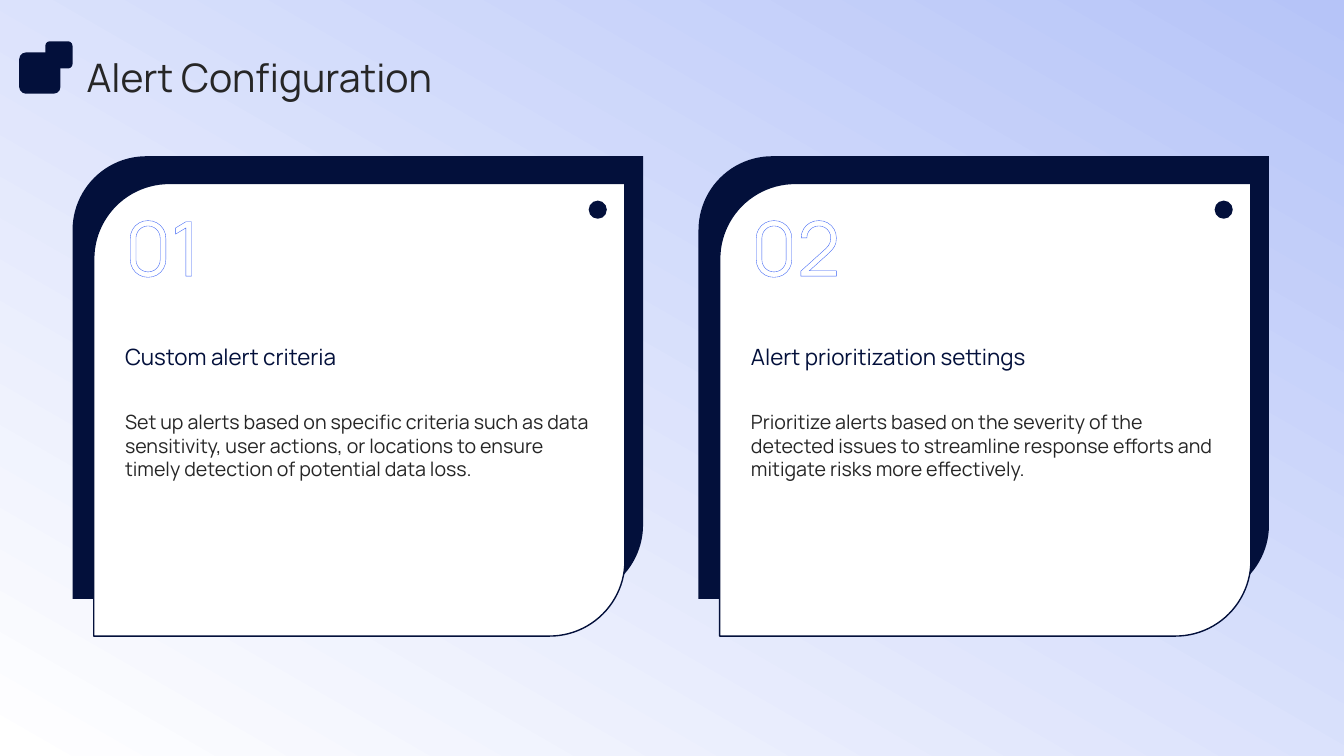
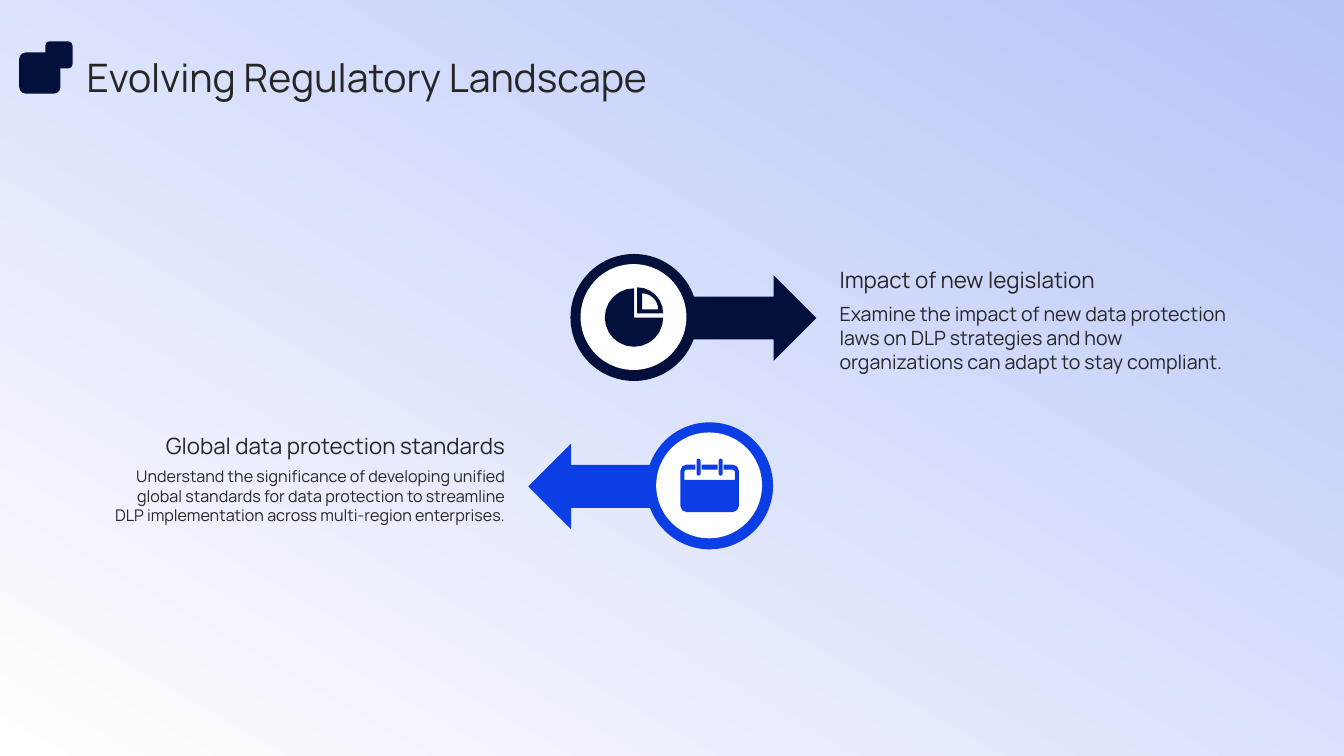
import math
from dataclasses import dataclass

from lxml import etree
from pptx import Presentation
from pptx import util as u
from pptx.dml.color import RGBColor
from pptx.enum import shapes, text
from pptx.oxml.ns import qn

EMU_PER_PX = 9144  # 100 px to the inch
SLIDE_W, SLIDE_H = u.Emu(12192000), u.Emu(6858000)
SHAPE, ANCHOR, ALIGN = shapes.MSO_SHAPE, text.MSO_ANCHOR, text.PP_ALIGN


@dataclass(frozen=True)
class Theme:
    font: str = "Manrope"
    navy: str = "03103B"
    blue: str = "0C3EE6"
    outline: str = "3860F4"
    ink: str = "262626"
    white: str = "FFFFFF"
    backdrop: str = "AABDFB"
    tint: str = "B6C4F8"
    title: float = 28
    number: float = 54
    heading: float = 16
    body: float = 14
    small: float = 11.5


T = Theme()


def px(n):
    return u.Emu(round(n * EMU_PER_PX))


def rgb(color):
    return RGBColor.from_string(color)


# Basic elements
def paint(sp, fill, line=None):
    sp.shadow.inherit = False
    sp.fill.solid()
    sp.fill.fore_color.rgb = rgb(fill)
    if line:
        sp.line.color.rgb = rgb(line)
        sp.line.width = u.Pt(1)
    else:
        sp.line.fill.background()


def fade_to_white(fill, color, angle):
    fill.gradient()
    fill.gradient_angle = angle
    for stop, c, position in zip(fill.gradient_stops, (color, T.white), (0, 1)):
        stop.color.rgb = rgb(c)
        stop.position = position


def add_shape(s, kind, x, y, w, h, fill, line=None):
    sp = s.shapes.add_shape(kind, px(x), px(y), px(w), px(h))
    paint(sp, fill, line)


def set_text(sp, content, size, color=T.ink, anchor=ANCHOR.TOP, align=ALIGN.LEFT):
    tf = sp.text_frame
    tf.text = content
    tf.word_wrap = True
    tf.auto_size = text.MSO_AUTO_SIZE.NONE
    tf.vertical_anchor = anchor
    tf.margin_left = tf.margin_right = tf.margin_top = tf.margin_bottom = 0
    p = tf.paragraphs[0]
    p.alignment = align
    r = p.runs[0]
    r.font.name = T.font
    r.font.size = u.Pt(size)
    r.font.color.rgb = rgb(color)
    return r


def add_text(s, x, y, w, h, content, size, **style):
    sp = s.shapes.add_textbox(px(x), px(y), px(w), px(h))
    return set_text(sp, content, size, **style)


def outline_run(r, color, width):
    ln = etree.Element(qn("a:ln"), w=str(u.Pt(width)))
    fill = etree.SubElement(ln, qn("a:solidFill"))
    etree.SubElement(fill, qn("a:srgbClr"), val=color)
    r.font._element.insert(0, ln)


# Icons: contours in px around the centre of a disc
def arc(cx, cy, radius, start, end):
    steps = abs(end - start) // (15 if radius > 10 else 45)
    angles = [math.radians(start + (end - start) * i / steps) for i in range(steps + 1)]
    return [(cx + radius * math.cos(a), cy + radius * math.sin(a)) for a in angles]


def pie_icon():
    return [
        [(0, 0)] + arc(0, 0, 29, 0, 270),
        [(3, -4)] + arc(3, -4, 26, 0, -90),
        [(8, -8)] + arc(8, -8, 16, 0, -90),
    ]


def calendar_icon():
    frame = (
        [(14, -21), (14, -16)]
        + arc(23, -14, 2, -90, 0)
        + [(25, -6), (-25, -6)]
        + arc(-23, -14, 2, 180, 270)
        + [(-14, -16), (-14, -21)]
        + arc(-23, -15, 6, 270, 180)
        + arc(-23, 20, 6, 180, 90)
        + arc(23, 20, 6, 90, 0)
        + arc(23, -15, 6, 0, -90)
    )
    bar = [(-8, -21), (8, -21), (8, -16), (-8, -16)]
    rings = [arc(x, -25, 2, 180, 360) + arc(x, -12, 2, 0, 180) for x in (-11, 11)]
    return [frame, bar, *rings]


def add_icon(s, cx, cy, contours, color):
    fb = None
    for contour in contours:
        points = [(px(cx + x), px(cy + y)) for x, y in contour]
        if fb is None:
            fb = s.shapes.build_freeform(*points[0])
        else:
            fb.move_to(*points[0])
        fb.add_line_segments(points[1:], close=True)
    paint(fb.convert_to_shape(), color)


# Shared slide frame
def add_panel(s):
    sp = s.shapes.add_shape(SHAPE.RECTANGLE, 0, 0, SLIDE_W, SLIDE_H)
    sp.shadow.inherit = False
    sp.line.fill.background()
    fade_to_white(sp.fill, T.tint, 240)
    s.shapes._spTree.insert(2, sp._element)  # behind the title


def add_slide(prs, title):
    s = prs.slides.add_slide(prs.slide_layouts.get_by_name("Title Only"))
    add_panel(s)
    sp = s.shapes.title
    sp.left, sp.top, sp.width, sp.height = px(86), px(51), px(1167), px(51)
    set_text(sp, title, T.title, anchor=ANCHOR.MIDDLE)
    for x, y, size in ((19, 52, 41), (45, 41, 27)):
        add_shape(s, SHAPE.ROUNDED_RECTANGLE, x, y, size, size, T.navy)
    return s


# Numbered card with an offset backing
def add_card(s, x, number, heading, body):
    y, text_x, text_w = 155, x + 52, 469
    add_shape(s, SHAPE.ROUND_2_DIAG_RECTANGLE, x, y, 566, 439, T.navy)
    add_shape(s, SHAPE.ROUND_2_DIAG_RECTANGLE, x + 21, y + 27, 527, 449, T.white, T.navy)
    r = add_text(s, text_x, y + 44, 135, 116, f"{number:02}", T.number, color=T.white)
    outline_run(r, T.outline, 1.25)
    add_text(s, text_x, y + 252, text_w, 182, body, T.body)
    add_shape(s, SHAPE.OVAL, x + 512, y + 44, 18, 18, T.navy)
    add_text(s, text_x, y + 149, text_w, 99, heading, T.heading,
             color=T.navy, anchor=ANCHOR.MIDDLE)


# Disc with an arrow that points to a text on its left or right
def add_pointer(s, y, heading_y, body_y, heading, body, body_size, color, icon,
                to_left=False):
    if to_left:
        text_x, arrow_x, disc_x = 107, 524, 641
        arrow, align = SHAPE.LEFT_ARROW, ALIGN.RIGHT
    else:
        text_x, arrow_x, disc_x = 833, 655, 566
        arrow, align = SHAPE.RIGHT_ARROW, ALIGN.LEFT
    add_text(s, text_x, heading_y, 394, 68, heading, T.heading,
             anchor=ANCHOR.BOTTOM, align=align)
    add_text(s, text_x, body_y, 394, 143, body, body_size, align=align)
    add_shape(s, arrow, arrow_x, y + 21, 155, 85, color)
    for inset, size, fill in ((0, 126, color), (10, 105, T.white)):
        add_shape(s, SHAPE.OVAL, disc_x + inset, y + inset, size, size, fill)
    add_icon(s, disc_x + 63, y + 63, icon, color)


def main():
    prs = Presentation()
    prs.slide_width, prs.slide_height = SLIDE_W, SLIDE_H
    fade_to_white(prs.slide_master.background.fill, T.backdrop, 300)

    # Slide 1: two cards
    s = add_slide(prs, "Alert Configuration")
    cards = [
        ("Custom alert criteria",
         "Set up alerts based on specific criteria such as data sensitivity, user actions, "
         "or locations to ensure timely detection of potential data loss."),
        ("Alert prioritization settings",
         "Prioritize alerts based on the severity of the detected issues to streamline "
         "response efforts and mitigate risks more effectively."),
    ]
    for i, (heading, body) in enumerate(cards):
        add_card(s, 72 + 621 * i, i + 1, heading, body)

    # Slide 2: two opposite pointers
    s = add_slide(prs, "Evolving Regulatory Landscape")
    add_pointer(
        s, 252, 223, 300, "Impact of new legislation",
        "Examine the impact of new data protection laws on DLP strategies and how "
        "organizations can adapt to stay compliant.",
        T.body, T.navy, pie_icon())
    add_pointer(
        s, 419, 387, 463, "Global data protection standards",
        "Understand the significance of developing unified global standards for data "
        "protection to streamline DLP implementation across multi-region enterprises.",
        T.small, T.blue, calendar_icon(), to_left=True)

    prs.save("out.pptx")


if __name__ == "__main__":
    main()
